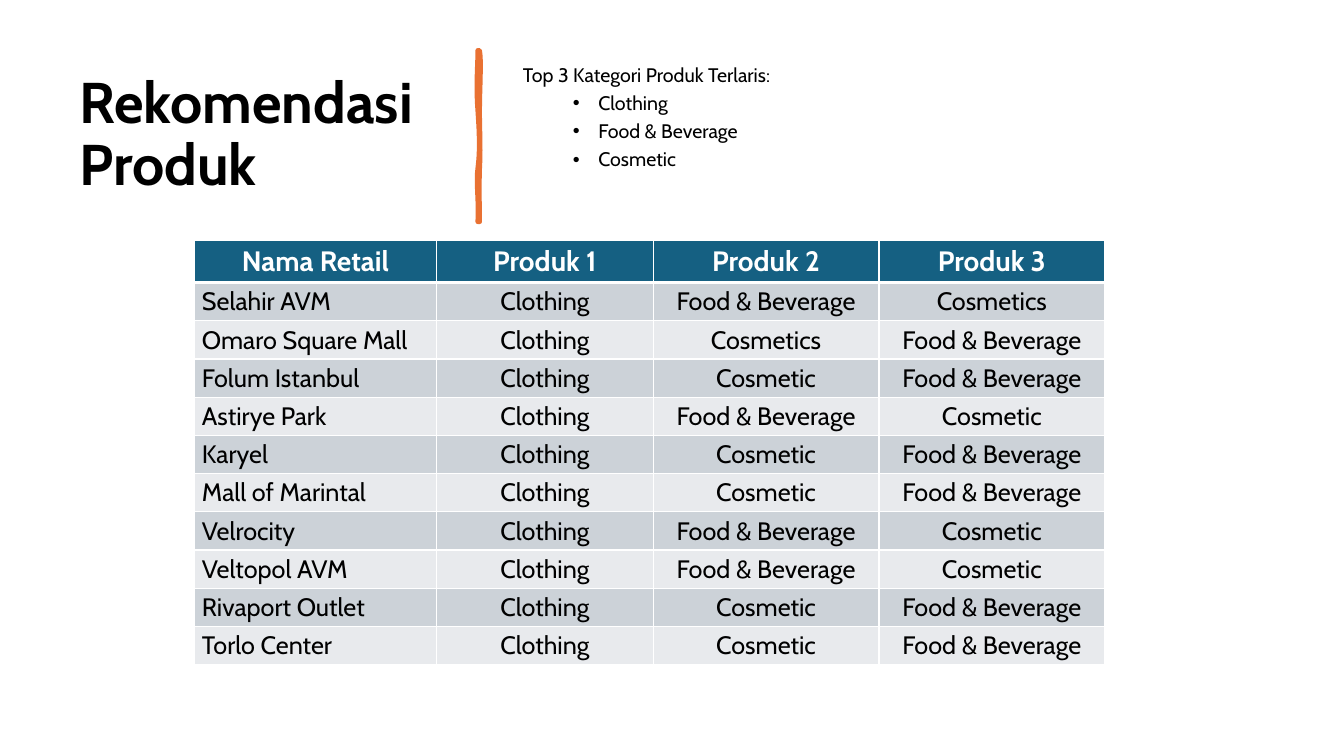
from dataclasses import dataclass
from lxml import etree
from pptx import Presentation
from pptx import util as u
from pptx.dml.color import RGBColor
from pptx.enum import text
from pptx.oxml import ns

FONT = "Cabin"
HEX = {"ink": "000000", "white": "FFFFFF", "head": "156082",
       "dark": "CCD2D8", "light": "E8EAED", "accent": "E97132"}
Point = tuple[float, float]


@dataclass
class Box:
    left: float
    top: float
    width: float
    height: float


@dataclass
class Mall:
    name: str
    second: str
    third: str


@dataclass
class Curve:
    start: Point
    bend: Point
    pull: Point
    end: Point


CLOTH, FOOD, COSM = "Clothing", "Food & Beverage", "Cosmetic"
HEADS = ["Nama Retail", "Produk 1", "Produk 2", "Produk 3"]
MALLS = [
    Mall("Selahir AVM", FOOD, "Cosmetics"),
    Mall("Omaro Square Mall", "Cosmetics", FOOD),
    Mall("Folum Istanbul", COSM, FOOD),
    Mall("Astirye Park", FOOD, COSM),
    Mall("Karyel", COSM, FOOD),
    Mall("Mall of Marintal", COSM, FOOD),
    Mall("Velrocity", FOOD, COSM),
    Mall("Veltopol AVM", FOOD, COSM),
    Mall("Rivaport Outlet", COSM, FOOD),
    Mall("Torlo Center", COSM, FOOD),
]
WIDTHS = [6.1, 5.46, 5.69, 5.69]
ROW = 0.92

# Hand-drawn divider: down the right edge, then up the left
EDGES = [
    Curve((12.09, 1.27), (12.14, 1.57), (12.09, 2.24), (12.09, 2.79)),
    Curve((12.09, 2.79), (12.09, 3.35), (12.12, 3.66), (12.09, 4.27)),
    Curve((12.09, 4.27), (12.07, 4.9), (12.09, 5.05), (12.09, 5.59)),
    Curve((12.04, 5.59), (12.07, 4.98), (11.99, 4.65), (12.04, 4.24)),
    Curve((12.04, 4.24), (12.09, 3.84), (12.09, 3.51), (12.04, 2.79)),
    Curve((12.04, 2.79), (11.99, 2.11), (12.04, 1.7), (12.04, 1.27)),
]


def color(key: str) -> RGBColor:
    return RGBColor.from_string(HEX[key])


def style(para, size: float, key: str = "ink", bold: bool = False) -> None:
    for run in para.runs:
        run.font.name = FONT
        run.font.size = u.Pt(size)
        run.font.bold = bold
        run.font.color.rgb = color(key)


def add_text(slide, box: Box, words: str):
    shape = slide.shapes.add_textbox(
        u.Cm(box.left), u.Cm(box.top), u.Cm(box.width), u.Cm(box.height))
    frame = shape.text_frame
    frame.word_wrap = True
    frame.vertical_anchor = text.MSO_ANCHOR.MIDDLE
    frame.text = words
    for para in frame.paragraphs:
        para.line_spacing = 0.9
    return frame


def add_bullet(para) -> None:
    para.level = 1
    props = para._p.get_or_add_pPr()
    props.set("marL", str(u.Cm(1.9)))
    props.set("indent", str(u.Cm(-0.64)))
    etree.SubElement(props, ns.qn("a:buFont")).set("typeface", "Arial")
    etree.SubElement(props, ns.qn("a:buChar")).set("char", "•")


def trace(curve: Curve, steps: int = 10) -> list[Point]:
    spots = (curve.start, curve.bend, curve.pull, curve.end)
    dots = []
    for step in range(steps + 1):
        t = step / steps
        parts = ((1 - t) ** 3, 3 * t * (1 - t) ** 2, 3 * t * t * (1 - t), t ** 3)
        x, y = (sum(p * s[axis] for p, s in zip(parts, spots)) for axis in (0, 1))
        dots.append((u.Cm(x), u.Cm(y)))
    return dots


def add_rule(slide) -> None:
    dots = [dot for curve in EDGES for dot in trace(curve)]
    pen = slide.shapes.build_freeform(*dots[0])
    pen.add_line_segments(dots[1:], close=True)
    rule = pen.convert_to_shape()
    rule.shadow.inherit = False
    rule.fill.solid()
    rule.fill.fore_color.rgb = color("accent")
    rule.line.color.rgb = color("accent")
    rule.line.width = u.Pt(3.25)
    etree.SubElement(rule.line._get_or_add_ln(), ns.qn("a:round"))


def add_border(cell, side: str, width: float) -> None:
    line = etree.SubElement(cell._tc.get_or_add_tcPr(), ns.qn("a:ln" + side))
    line.set("w", str(u.Pt(width)))
    fill = etree.SubElement(line, ns.qn("a:solidFill"))
    etree.SubElement(fill, ns.qn("a:srgbClr")).set("val", HEX["white"])


def fill_cell(cell, words: str, row: int, col: int) -> None:
    head = row == 0
    cell.text = words
    cell.vertical_anchor = text.MSO_ANCHOR.MIDDLE
    cell.margin_left = cell.margin_right = u.Cm(0.19)
    cell.margin_top = cell.margin_bottom = u.Cm(0.1)
    para = cell.text_frame.paragraphs[0]
    if head or col:
        para.alignment = text.PP_ALIGN.CENTER
    style(para, 20 if head else 18, "white" if head else "ink", head)
    for side in "LRTB":
        thick = (side == "B" and head) or (side == "T" and row == 1)
        add_border(cell, side, 3 if thick else 1)
    cell.fill.solid()
    cell.fill.fore_color.rgb = color(
        "head" if head else "dark" if row % 2 else "light")


def add_grid(slide) -> None:
    rows = [HEADS] + [[m.name, CLOTH, m.second, m.third] for m in MALLS]
    grid = slide.shapes.add_table(
        len(rows), len(HEADS), u.Cm(4.9), u.Cm(6.07),
        u.Cm(sum(WIDTHS)), u.Cm(ROW * len(rows))).table
    grid.horz_banding = False
    for col, width in zip(grid.columns, WIDTHS):
        col.width = u.Cm(width)
    for i, words in enumerate(rows):
        grid.rows[i].height = u.Cm(ROW)
        for j, word in enumerate(words):
            fill_cell(grid.cell(i, j), word, i, j)


def main() -> None:
    deck = Presentation()
    deck.slide_width, deck.slide_height = u.Cm(33.87), u.Cm(19.05)
    slide = deck.slides.add_slide(deck.slide_layouts[6])

    # Title and divider
    title = add_text(slide, Box(1.75, 1.4, 9.5, 4.06), "Rekomendasi Produk")
    style(title.paragraphs[0], 41, bold=True)
    add_rule(slide)

    # Best-selling categories
    tops = add_text(slide, Box(12.93, 1.4, 19.15, 4.06), "\n".join(
        ["Top 3 Kategori Produk Terlaris:", CLOTH, FOOD, COSM]))
    tops.margin_bottom = u.Cm(1.03)
    for i, para in enumerate(tops.paragraphs):
        style(para, 14)
        para.space_before = u.Pt(5 if i else 10)
        if i:
            add_bullet(para)

    # Recommendations per mall
    add_grid(slide)
    deck.save("out.pptx")


if __name__ == "__main__":
    main()
